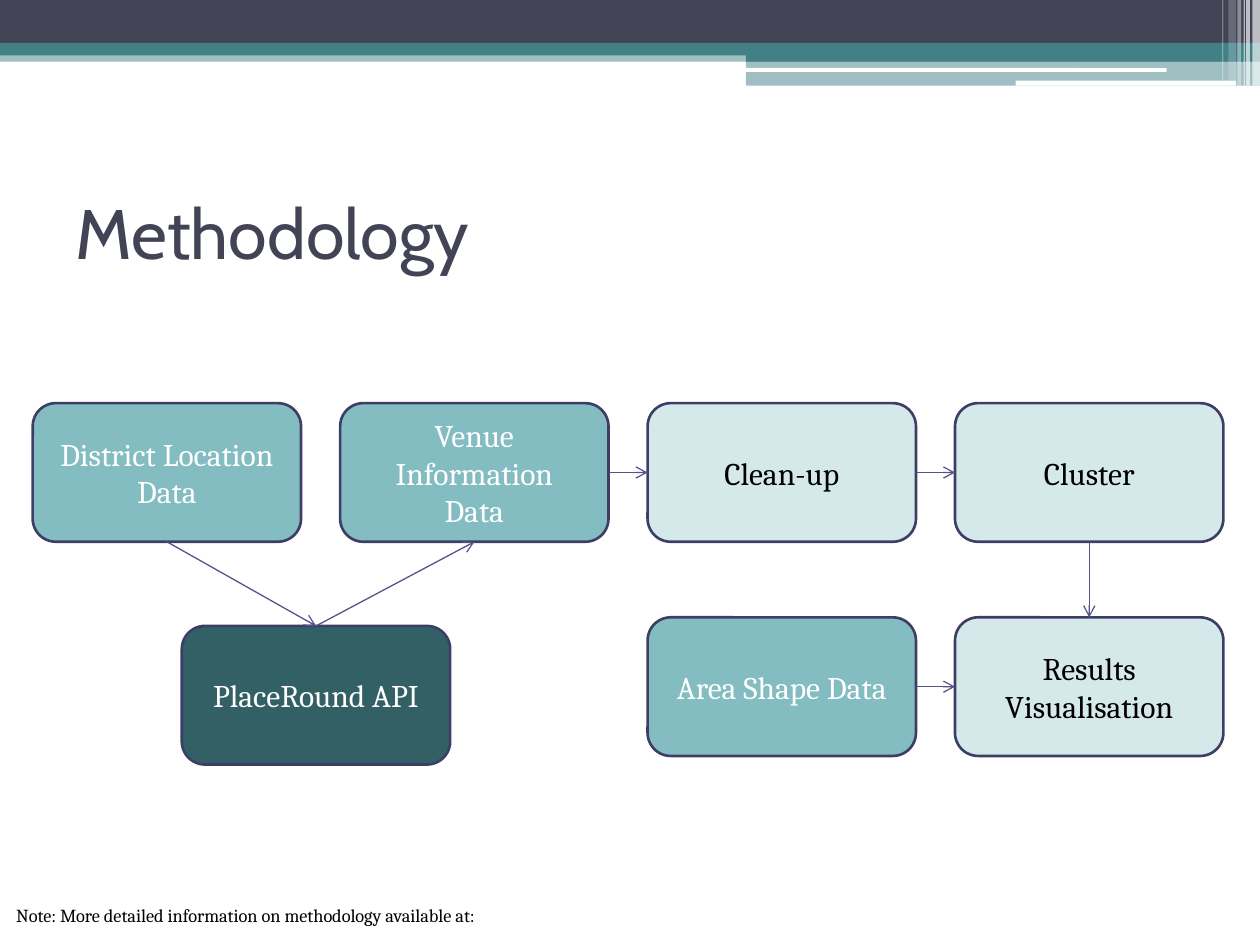
from lxml import etree
from pptx import Presentation
from pptx.dml.color import RGBColor
from pptx.enum.shapes import MSO_CONNECTOR, MSO_SHAPE
from pptx.enum.text import MSO_ANCHOR, PP_ALIGN
from pptx.oxml.ns import qn
from pptx.util import Inches, Pt

RECTANGLE = MSO_SHAPE.RECTANGLE
ROUNDED = MSO_SHAPE.ROUNDED_RECTANGLE
STRAIGHT = MSO_CONNECTOR.STRAIGHT
LEFT, CENTER = PP_ALIGN.LEFT, PP_ALIGN.CENTER
TOP_ANCHOR, MIDDLE = MSO_ANCHOR.TOP, MSO_ANCHOR.MIDDLE

WHITE = RGBColor(0xFF, 0xFF, 0xFF)
BLACK = RGBColor(0x00, 0x00, 0x00)
SLATE = RGBColor(0x42, 0x44, 0x56)
TEAL = RGBColor(0x43, 0x80, 0x86)
DARK_TEAL = RGBColor(0x32, 0x60, 0x65)
MID_TEAL = RGBColor(0x83, 0xBC, 0xC1)
PALE_TEAL = RGBColor(0xD6, 0xE9, 0xEA)
OUTLINE = RGBColor(0x3D, 0x3E, 0x66)
ARROW = RGBColor(0x53, 0x54, 0x8A)

SLIDE_WIDTH, SLIDE_HEIGHT = 10, 7.5
BOX_WIDTH, BOX_HEIGHT = 2.13, 1.1
GRID_LEFT, GRID_TOP = 0.26, 3.2
COLUMN_STEP, ROW_STEP = 2.44, 1.7

# Connection sites of a rounded rectangle
TOP, LEFT_SIDE, BOTTOM, RIGHT_SIDE = range(4)

# left, top, width, height, colour, opacity in percent
BANDS = [
    (0, 0.4, 10, 0.09, TEAL, 50),
    (0, 0, 10, 0.34, SLATE, 100),
    (0, 0.34, 10, 0.1, TEAL, 100),
    (5.92, 0.39, 4.08, 0.1, TEAL, 100),
    (5.92, 0.48, 4.08, 0.2, TEAL, 50),
]
WHITE_BARS = [(5.91, 0.54, 3.35, 0.03), (8.06, 0.64, 1.75, 0.04)]
# left, width, height, opacity in percent
STRIPES = [
    (9.94, 0.06, 0.68, 65),
    (9.89, 0.03, 0.68, 65),
    (9.87, 0.01, 0.68, 60),
    (9.82, 0.03, 0.68, 40),
    (9.75, 0.06, 0.64, 20),
    (9.7, 0.01, 0.64, 30),
]

# name: column, row, text, fill, text colour
STEPS = {
    "district": (0, 0, "District Location Data", MID_TEAL, WHITE),
    "venue": (1, 0, "Venue Information\nData", MID_TEAL, WHITE),
    "clean": (2, 0, "Clean-up", PALE_TEAL, BLACK),
    "cluster": (3, 0, "Cluster", PALE_TEAL, BLACK),
    "api": (0.485, 1.04, "PlaceRound API", DARK_TEAL, WHITE),
    "area": (2, 1, "Area Shape Data", MID_TEAL, WHITE),
    "results": (3, 1, "Results Visualisation", PALE_TEAL, BLACK),
}
FLOWS = [
    ("district", BOTTOM, "api", TOP),
    ("api", TOP, "venue", BOTTOM),
    ("venue", RIGHT_SIDE, "clean", LEFT_SIDE),
    ("clean", RIGHT_SIDE, "cluster", LEFT_SIDE),
    ("cluster", BOTTOM, "results", TOP),
    ("area", RIGHT_SIDE, "results", LEFT_SIDE),
]


def write_text(shape, text, *, size, color, font="Cambria", align=LEFT, anchor=MIDDLE):
    frame = shape.text_frame
    frame.text = text
    frame.word_wrap = True
    frame.vertical_anchor = anchor
    for paragraph in frame.paragraphs:
        paragraph.alignment = align
        for run in paragraph.runs:
            run.font.size = Pt(size)
            run.font.name = font
            run.font.color.rgb = color


def add_filled(slide, kind, left, top, width, height, color, opacity=100):
    shape = slide.shapes.add_shape(
        kind, Inches(left), Inches(top), Inches(width), Inches(height))
    shape.shadow.inherit = False
    shape.fill.solid()
    shape.fill.fore_color.rgb = color
    shape.line.fill.background()
    if opacity < 100:
        fill_color = shape.element.spPr.find(qn("a:solidFill")).find(qn("a:srgbClr"))
        etree.SubElement(fill_color, qn("a:alpha"), val=str(opacity * 1000))
    return shape


def add_header(slide):
    for left, top, width, height, color, opacity in BANDS:
        add_filled(slide, RECTANGLE, left, top, width, height, color, opacity)
    for bar in WHITE_BARS:
        add_filled(slide, ROUNDED, *bar, WHITE)
    for left, width, height, opacity in STRIPES:
        add_filled(slide, RECTANGLE, left, 0, width, height, WHITE, opacity)


def add_title(slide, text):
    title = slide.shapes.title
    title.left, title.top = Inches(0.05 * SLIDE_WIDTH), Inches(1.25)
    title.width, title.height = Inches(0.9 * SLIDE_WIDTH), Inches(1.17)
    write_text(title, text, size=40, color=SLATE, font="Cabin")


def add_step(slide, column, row, text, fill, text_color):
    box = add_filled(slide, ROUNDED, GRID_LEFT + column * COLUMN_STEP,
                     GRID_TOP + row * ROW_STEP, BOX_WIDTH, BOX_HEIGHT, fill)
    box.line.color.rgb = OUTLINE
    box.line.width = Pt(1.5)
    write_text(box, text, size=18, color=text_color, align=CENTER)
    return box


def add_arrow(slide, source, source_site, target, target_site):
    arrow = slide.shapes.add_connector(STRAIGHT, 0, 0, 0, 0)
    arrow.begin_connect(source, source_site)
    arrow.end_connect(target, target_site)
    arrow.line.color.rgb = ARROW
    arrow.line.width = Pt(0.75)
    properties = arrow.element.spPr
    etree.SubElement(properties.find(qn("a:ln")), qn("a:tailEnd"), type="arrow")
    etree.SubElement(properties, qn("a:effectLst"))


def add_note(slide, text):
    note = slide.shapes.add_textbox(
        Inches(0.03), Inches(0.95 * SLIDE_HEIGHT), Inches(9.85), Inches(0.28))
    write_text(note, text, size=10.5, color=BLACK, anchor=TOP_ANCHOR)


def main():
    presentation = Presentation()
    presentation.slide_width = Inches(SLIDE_WIDTH)
    presentation.slide_height = Inches(SLIDE_HEIGHT)
    slide = presentation.slides.add_slide(
        presentation.slide_layouts.get_by_name("Title Only"))
    add_header(slide)
    add_title(slide, "Methodology")
    boxes = {name: add_step(slide, *step) for name, step in STEPS.items()}
    for source, source_site, target, target_site in FLOWS:
        add_arrow(slide, boxes[source], source_site, boxes[target], target_site)
    add_note(slide, "Note: More detailed information on methodology available at:")
    presentation.save("out.pptx")


if __name__ == "__main__":
    main()
